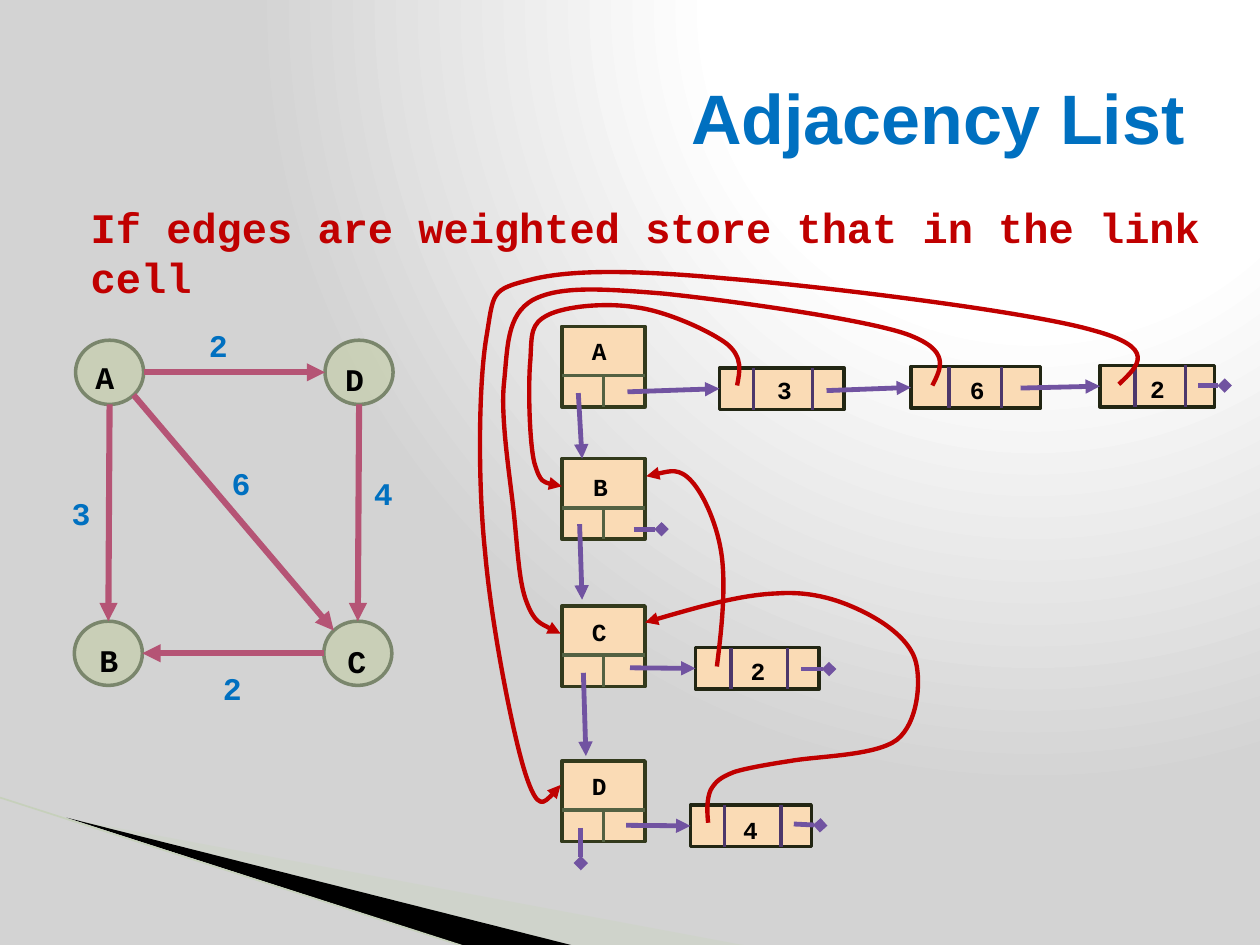
from dataclasses import dataclass
from math import sqrt
from typing import NamedTuple

from pptx import Presentation
from pptx.dml.color import RGBColor
from pptx.enum.shapes import MSO_CONNECTOR, MSO_SHAPE
from pptx.enum.text import MSO_ANCHOR, MSO_AUTO_SIZE, PP_ALIGN
from pptx.oxml import parse_xml
from pptx.oxml.ns import nsdecls, qn
from pptx.oxml.xmlchemy import OxmlElement
from pptx.util import Cm, Pt


@dataclass(frozen=True)
class Theme:
    sans: str = "Arial"
    mono: str = "Courier New"
    blue: str = "0070C0"
    red: str = "C00000"
    black: str = "000000"
    vertex: str = "BECB95"
    vertex_line: str = "7A866C"
    edge: str = "B55475"
    box: str = "FADBB5"
    record_line: str = "333A1C"
    record_divider: str = "536142"
    cell_line: str = "222613"
    cell_divider: str = "4C376B"
    link: str = "7153A1"
    wedge: str = "CBD4C0"
    wedge_line: str = "C6D0BB"
    title: float = 40
    body: float = 24
    graph_label: float = 18
    list_label: float = 14
    outline: float = 2
    edge_width: float = 3.5
    link_width: float = 2.75
    curve_width: float = 2.5


T = Theme()
Point = tuple[float, float]


class Vertex(NamedTuple):
    x: float
    y: float
    label_at: Point


class Record(NamedTuple):
    name: str
    y: float
    label_at: Point


class Cell(NamedTuple):
    x: float
    y: float
    w: float
    weight: str
    label_at: Point
    label_w: float
    dividers: Point
    link_from: Point


def u(units: float) -> Cm:
    """Turn slide units of 2.54 cm into a length."""
    return Cm(2.54 * units)


def set_alpha(sp, percent: int) -> None:
    color = sp.element.spPr.find(qn("a:solidFill"))[0]
    alpha = OxmlElement("a:alpha")
    alpha.set("val", str(percent * 1000))
    color.append(alpha)


def style_line(sp, color: str, width: float, tail: str = "") -> None:
    sp.line.color.rgb = RGBColor.from_string(color)
    sp.line.width = Pt(width)
    if tail:
        end = OxmlElement("a:tailEnd")
        end.set("type", tail)
        sp.element.spPr.find(qn("a:ln")).append(end)


def add_line(s, start: Point, end: Point, color: str, width: float, tail: str = "", target=None):
    """Draw a straight line, joined to the left side of target if one is given."""
    line = s.shapes.add_connector(MSO_CONNECTOR.STRAIGHT, *map(u, start + end))
    if target is not None:
        line.end_connect(target, 1)
    style_line(line, color, width, tail)
    line.element.spPr.append(OxmlElement("a:effectLst"))


def add_box(s, kind, x: float, y: float, w: float, h: float, fill: str, line: str):
    sp = s.shapes.add_shape(kind, u(x), u(y), u(w), u(h))
    sp.shadow.inherit = False
    sp.fill.solid()
    sp.fill.fore_color.rgb = RGBColor.from_string(fill)
    style_line(sp, line, T.outline)
    return sp


def add_text(s, text: str, x: float, y: float, w: float, h: float, size: float, color: str, font: str = T.mono):
    tf = s.shapes.add_textbox(u(x), u(y), u(w), u(h)).text_frame
    tf.word_wrap = True
    tf.text = text
    f = tf.paragraphs[0].runs[0].font
    f.name, f.size, f.bold = font, Pt(size), True
    f.color.rgb = RGBColor.from_string(color)
    return tf


def add_label(s, text: str, at: Point, w: float, h: float, size: float, color: str = T.black) -> None:
    tf = add_text(s, text, *at, w, h, size, color)
    tf.auto_size = MSO_AUTO_SIZE.SHAPE_TO_FIT_TEXT
    tf.paragraphs[0].space_after = Pt(6)


def add_outline(s, points: list[Point], close: bool):
    start, *rest = [(u(x), u(y)) for x, y in points]
    builder = s.shapes.build_freeform(*start)
    builder.add_line_segments(rest, close=close)
    sp = builder.convert_to_shape()
    sp.shadow.inherit = False
    return sp


def add_wedge(s, points: list[Point], fill: str, alpha: int) -> None:
    sp = add_outline(s, points, True)
    sp.fill.solid()
    sp.fill.fore_color.rgb = RGBColor.from_string(fill)
    set_alpha(sp, alpha)
    sp.line.fill.background()


def add_curve(s, points: list[Point]) -> None:
    """Draw cubic curves: a start, then two handles and an end for each."""
    sp = add_outline(s, points, False)
    sp.fill.background()
    outline = next(sp.element.iter(qn("a:path")))
    segments = outline.findall(qn("a:lnTo"))
    for i in range(0, len(segments), 3):
        cubic = OxmlElement("a:cubicBezTo")
        outline.append(cubic)
        for seg in segments[i:i + 3]:
            cubic.append(seg[0])
            outline.remove(seg)
    style_line(sp, T.red, T.curve_width, "triangle")


def set_background(s) -> None:
    s.background.fill.gradient()
    old = next(s.element.iter(qn("a:gradFill")))
    stops = "".join(f'<a:gs pos="{pos}000"><a:srgbClr val="{c}"/></a:gs>'
                    for pos, c in ((0, "FFFFFF"), (40, "FFFFFF"), (100, "D3D3D3")))
    old.getparent().replace(old, parse_xml(
        f'<a:gradFill {nsdecls("a")} rotWithShape="1"><a:gsLst>{stops}</a:gsLst>'
        '<a:path path="circle"><a:fillToRect l="65000" t="0" r="0" b="98000"/></a:path></a:gradFill>'))


VERTEX_W, VERTEX_H = 0.54, 0.51
VERTICES = {"A": Vertex(0.6, 2.7, (0.66, 2.79)), "D": Vertex(2.58, 2.7, (2.64, 2.81)),
            "B": Vertex(0.59, 4.93, (0.69, 5.04)), "C": Vertex(2.57, 4.93, (2.66, 5.05))}
DIAG = 1 / sqrt(2)
EDGES = [("A", "D", (1, 0), "2", (1.56, 2.54)), ("C", "B", (-1, 0), "2", (1.67, 5.26)),
         ("A", "B", (0, 1), "3", (0.47, 3.87)), ("D", "C", (0, 1), "4", (2.87, 3.71)),
         ("A", "C", (DIAG, DIAG), "6", (1.74, 3.63))]

RECORD_X, RECORD_W, RECORD_H, RECORD_SPLIT = 4.46, 0.66, 0.64, 0.39
RECORDS = [Record("A", 2.59, (4.6, 2.62)), Record("B", 3.64, (4.61, 3.7)),
           Record("C", 4.81, (4.6, 4.85)), Record("D", 6.04, (4.6, 6.07))]
NEXT_LINKS = [((4.59, 3.12), (4.62, 3.64)), ((4.6, 4.16), (4.62, 4.76)), ((4.63, 5.34), (4.65, 6))]
NULL_LINKS = [((4.61, 6.57), (4.61, 6.85)), ((5.03, 4.2), (5.25, 4.2)), ((6.36, 5.31), (6.58, 5.31)),
              ((6.3, 6.54), (6.51, 6.55)), ((9.51, 3.06), (9.72, 3.06))]

CELL_H = 0.33
CELLS = [Cell(5.52, 5.14, 0.98, "2", (5.86, 5.16), 0.37, (5.8, 6.25), (5, 5.3)),
         Cell(5.48, 6.39, 0.96, "4", (5.8, 6.42), 0.38, (5.75, 6.2), (4.97, 6.55)),
         Cell(5.71, 2.92, 0.99, "3", (6.07, 2.93), 0.28, (5.98, 6.45), (4.98, 3.11)),
         Cell(7.23, 2.91, 1.03, "6", (7.6, 2.93), 0.37, (7.53, 7.95), (6.56, 3.1)),
         Cell(8.73, 2.9, 0.91, "2", (9.03, 2.92), 0.37, (9.01, 9.41), (8.1, 3.08))]

POINTERS = [
    [(5.85, 3.06), (5.87, 2.95), (5.9, 2.84), (5.77, 2.73), (5.64, 2.63), (5.29, 2.47), (5.05, 2.44),
     (4.81, 2.4), (4.49, 2.43), (4.35, 2.5), (4.21, 2.57), (4.22, 2.65), (4.21, 2.85),
     (4.19, 3.04), (4.2, 3.5), (4.24, 3.67), (4.29, 3.84), (4.37, 3.85), (4.46, 3.86)],
    [(7.4, 3.06), (7.47, 2.92), (7.55, 2.78), (7.19, 2.65), (6.84, 2.53), (5.75, 2.38), (5.26, 2.33),
     (4.76, 2.29), (4.44, 2.27), (4.23, 2.38), (4.02, 2.5), (4.03, 2.75), (4, 3.04), (3.97, 3.32),
     (4.05, 3.8), (4.08, 4.09), (4.11, 4.38), (4.12, 4.63), (4.18, 4.78), (4.24, 4.94), (4.35, 4.98), (4.45, 5.03)],
    [(8.88, 3.05), (9.04, 2.9), (9.19, 2.76), (8.67, 2.62), (8.15, 2.47), (6.5, 2.27), (5.76, 2.21),
     (5.01, 2.14), (4.52, 2.14), (4.21, 2.22), (3.89, 2.3), (3.92, 2.32), (3.86, 2.68), (3.8, 3.04),
     (3.79, 3.81), (3.85, 4.38), (3.9, 4.96), (4.07, 5.83), (4.17, 6.14), (4.27, 6.45), (4.36, 6.34), (4.45, 6.23)],
    [(5.69, 5.29), (5.73, 4.98), (5.76, 4.67), (5.73, 4.42), (5.7, 4.18), (5.59, 3.93), (5.49, 3.82),
     (5.39, 3.71), (5.26, 3.75), (5.13, 3.78)],
    [(5.62, 6.53), (5.61, 6.43), (5.61, 6.34), (5.64, 6.27), (5.68, 6.2), (5.72, 6.17), (5.82, 6.13),
     (5.93, 6.09), (6.27, 6.04), (6.27, 6.04), (6.49, 6), (6.95, 6), (7.12, 5.87), (7.28, 5.74),
     (7.31, 5.43), (7.27, 5.26), (7.23, 5.09), (7.04, 4.95), (6.86, 4.86), (6.68, 4.77), (6.46, 4.69),
     (6.17, 4.71), (5.88, 4.72), (5.5, 4.83), (5.12, 4.94)],
]


def draw_graph(s) -> None:
    for v in VERTICES.values():
        sp = add_box(s, MSO_SHAPE.OVAL, v.x, v.y, VERTEX_W, VERTEX_H, T.vertex, T.vertex_line)
        set_alpha(sp, 45)
    for a, b, (dx, dy), weight, at in EDGES:
        start, end = [(VERTICES[n].x + VERTEX_W / 2 * (1 + side * dx), VERTICES[n].y + VERTEX_H / 2 * (1 + side * dy))
                      for n, side in ((a, 1), (b, -1))]
        add_line(s, start, end, T.edge, T.edge_width, "triangle")
        add_label(s, weight, at, 0.47, 0.4, T.graph_label, T.blue)
    for name, v in VERTICES.items():
        add_label(s, name, v.label_at, 0.47, 0.4, T.graph_label)


def draw_record(s, rec: Record) -> None:
    add_box(s, MSO_SHAPE.RECTANGLE, RECORD_X, rec.y, RECORD_W, RECORD_H, T.box, T.record_line)
    split, mid = rec.y + RECORD_SPLIT, RECORD_X + RECORD_W / 2
    add_line(s, (RECORD_X, split), (RECORD_X + RECORD_W, split), T.record_divider, T.outline)
    add_line(s, (mid, split), (mid, rec.y + RECORD_H), T.record_divider, T.outline)
    add_label(s, rec.name, rec.label_at, 0.4, 0.34, T.list_label)


def draw_cell(s, cell: Cell) -> None:
    sp = add_box(s, MSO_SHAPE.RECTANGLE, cell.x, cell.y, cell.w, CELL_H, T.box, T.cell_line)
    add_line(s, cell.link_from, (cell.x, cell.y + CELL_H / 2), T.link, T.link_width, "triangle", sp)
    add_label(s, cell.weight, cell.label_at, cell.label_w, 0.34, T.list_label)
    for x in cell.dividers:
        add_line(s, (x, cell.y), (x, cell.y + CELL_H), T.cell_divider, T.outline)


def main() -> None:
    prs = Presentation()
    prs.slide_width, prs.slide_height = u(10), u(7.5)
    s = prs.slides.add_slide(prs.slide_layouts[6])
    set_background(s)
    add_wedge(s, [(0.55, 6.5), (5.95, 7.51), (4.56, 7.51)], T.wedge, 40)
    add_wedge(s, [(0.53, 6.49), (4.57, 7.51), (3.72, 7.52)], T.black, 100)
    add_line(s, (0, 6.33), (3.71, 7.52), T.wedge_line, 0.95)

    tf = add_text(s, "If edges are weighted store that in the link cell", 0.5, 1.55, 9.17, 5.09, T.body, T.red)
    tf.margin_left = u(0.22)
    tf.paragraphs[0].space_before = Pt(4)
    tf = add_text(s, "Adjacency List", 0.5, 0.3, 9, 1.25, T.title, T.blue, T.sans)
    tf.vertical_anchor = MSO_ANCHOR.MIDDLE
    tf.paragraphs[0].alignment = PP_ALIGN.RIGHT

    draw_graph(s)
    for rec in RECORDS:
        draw_record(s, rec)
    for cell in CELLS:
        draw_cell(s, cell)
    for links, tail in ((NEXT_LINKS, "triangle"), (NULL_LINKS, "diamond")):
        for start, end in links:
            add_line(s, start, end, T.link, T.link_width, tail)
    for points in POINTERS:
        add_curve(s, points)
    prs.save("out.pptx")


if __name__ == "__main__":
    main()
